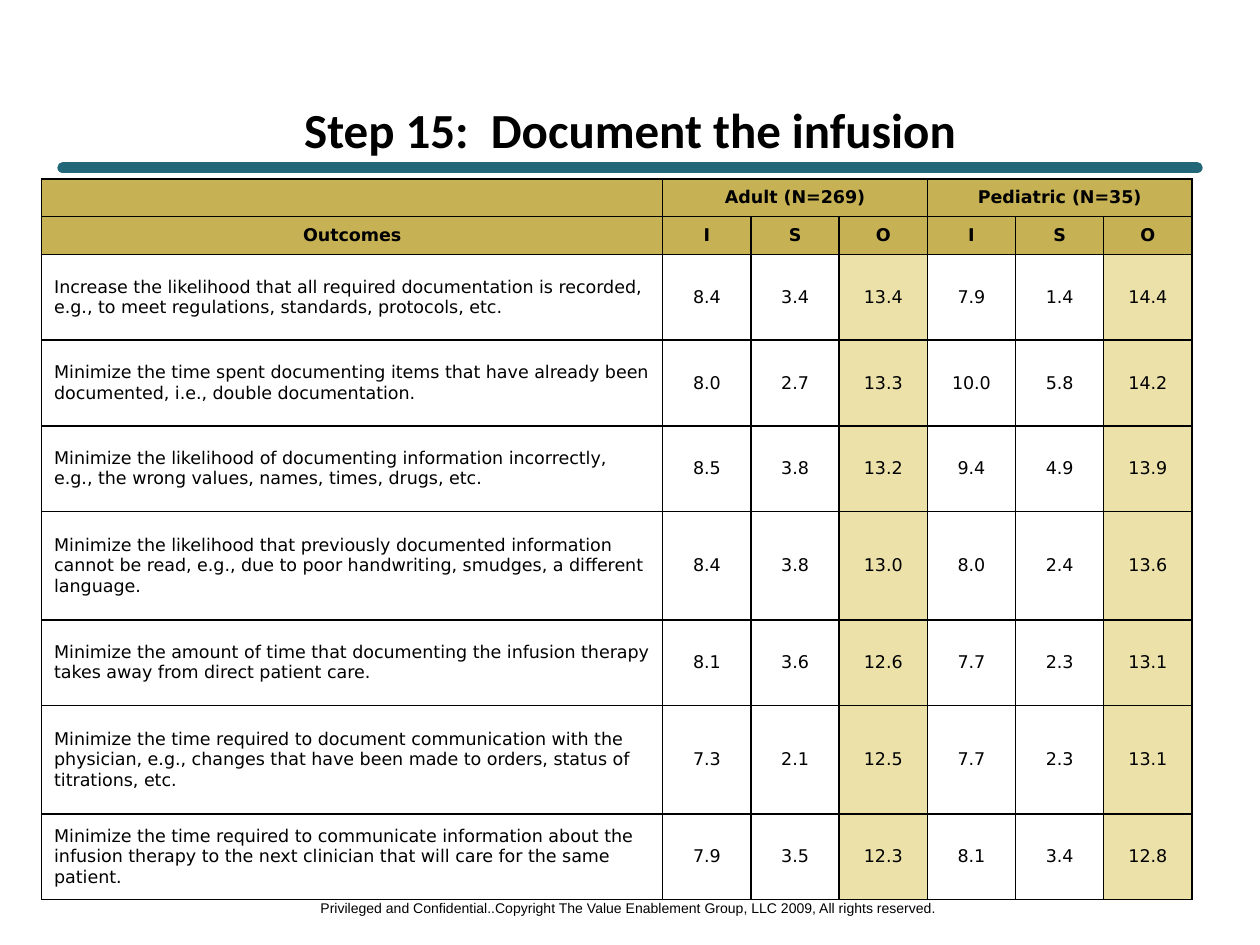
from dataclasses import dataclass

from lxml import etree
from pptx import Presentation
from pptx.dml.color import RGBColor
from pptx.enum.shapes import MSO_CONNECTOR
from pptx.enum.text import MSO_ANCHOR, PP_ALIGN
from pptx.oxml.ns import qn
from pptx.util import Inches, Pt

LEFT, CENTER = PP_ALIGN.LEFT, PP_ALIGN.CENTER
MIDDLE = MSO_ANCHOR.MIDDLE
STRAIGHT = MSO_CONNECTOR.STRAIGHT

# Content
TITLE = "Step 15:  Document the infusion"
FOOTER = ("Privileged and Confidential..Copyright The Value Enablement Group, "
          "LLC 2009, All rights reserved.")
GROUPS = ["Adult (N=269)", "Pediatric (N=35)"]
MEASURES = ["I", "S", "O"]
OUTCOMES = [
    ("Increase the likelihood that all required documentation is recorded, "
     "e.g., to meet regulations, standards, protocols, etc.",
     "8.4", "3.4", "13.4", "7.9", "1.4", "14.4"),
    ("Minimize the time spent documenting items that have already been "
     "documented, i.e., double documentation.",
     "8.0", "2.7", "13.3", "10.0", "5.8", "14.2"),
    ("Minimize the likelihood of documenting information incorrectly, "
     "e.g., the wrong values, names, times, drugs, etc.",
     "8.5", "3.8", "13.2", "9.4", "4.9", "13.9"),
    ("Minimize the likelihood that previously documented information cannot "
     "be read, e.g., due to poor handwriting, smudges, a different language.",
     "8.4", "3.8", "13.0", "8.0", "2.4", "13.6"),
    ("Minimize the amount of time that documenting the infusion therapy "
     "takes away from direct patient care.",
     "8.1", "3.6", "12.6", "7.7", "2.3", "13.1"),
    ("Minimize the time required to document communication with the "
     "physician, e.g., changes that have been made to orders, status of "
     "titrations, etc.",
     "7.3", "2.1", "12.5", "7.7", "2.3", "13.1"),
    ("Minimize the time required to communicate information about the "
     "infusion therapy to the next clinician that will care for the same "
     "patient.",
     "7.9", "3.5", "12.3", "8.1", "3.4", "12.8"),
]
COLUMN_WIDTHS = [4.93] + [0.7] * len(GROUPS) * len(MEASURES)
ROW_HEIGHTS = [0.3, 0.3, 0.68, 0.68, 0.68, 0.86, 0.68, 0.86, 0.68]


@dataclass(frozen=True)
class Theme:
    ink: str = "000000"
    paper: str = "FFFFFF"
    rule: str = "216778"
    header: str = "C6B154"
    score: str = "ECE2A9"
    title_font: str = "Calibri"
    table_font: str = "DejaVu Sans"
    footer_font: str = "Arial"
    title_size: float = 28
    table_size: float = 10
    footer_size: float = 8
    rule_width: float = 6.5
    border_width: float = 1


THEME = Theme()


def write_text(frame, text, *, font, size, bold=False, align=CENTER):
    paragraph = frame.paragraphs[0]
    paragraph.alignment = align
    if not text:  # keeps a blank cell from growing its row
        paragraph._p.get_or_add_endParaRPr().set("sz", str(int(size * 100)))
        return
    run = paragraph.add_run()
    run.text = text
    run.font.name = font
    run.font.size = Pt(size)
    run.font.bold = bold
    run.font.color.rgb = RGBColor.from_string(THEME.ink)


def set_borders(cell):
    properties = cell._tc.get_or_add_tcPr()
    for position, side in enumerate(("a:lnL", "a:lnR", "a:lnT", "a:lnB")):
        border = etree.Element(qn(side), w=str(Pt(THEME.border_width)))
        fill = etree.SubElement(border, qn("a:solidFill"))
        etree.SubElement(fill, qn("a:srgbClr"), val=THEME.ink)
        properties.insert(position, border)


def add_rule(slide):
    rule = slide.shapes.add_connector(
        STRAIGHT, Inches(0.5), Inches(1.33), Inches(9.5), Inches(1.33))
    rule.line.color.rgb = RGBColor.from_string(THEME.rule)
    rule.line.width = Pt(THEME.rule_width)
    rule.line._get_or_add_ln().set("cap", "rnd")
    etree.SubElement(rule._element.spPr, qn("a:effectLst"))


def add_footer(slide):
    footer = slide.shapes.add_textbox(
        Inches(2.41), Inches(7.09), Inches(5.16), Inches(0.24))
    footer.text_frame.word_wrap = False
    write_text(footer.text_frame, FOOTER,
               font=THEME.footer_font, size=THEME.footer_size)


def add_title(slide):
    title = slide.shapes.title
    title.left, title.top = Inches(0.5), Inches(0.83)
    title.width, title.height = Inches(9), Inches(0.38)
    title.text_frame.vertical_anchor = MIDDLE
    write_text(title.text_frame, TITLE, font=THEME.title_font,
               size=THEME.title_size, bold=True)


def add_outcomes_table(slide):
    # Two header rows, then one row for each outcome
    group_row = [""]
    for group in GROUPS:
        group_row += [group] + [""] * (len(MEASURES) - 1)
    header_rows = [group_row, ["Outcomes"] + MEASURES * len(GROUPS)]
    rows = header_rows + OUTCOMES

    table = slide.shapes.add_table(
        len(rows), len(COLUMN_WIDTHS), Inches(0.33), Inches(1.42),
        Inches(sum(COLUMN_WIDTHS)), Inches(sum(ROW_HEIGHTS))).table
    table.first_row = table.horz_banding = False
    for column, width in zip(table.columns, COLUMN_WIDTHS):
        column.width = Inches(width)
    for row, height in zip(table.rows, ROW_HEIGHTS):
        row.height = Inches(height)

    for r, row in enumerate(rows):
        is_header = r < len(header_rows)
        for c, text in enumerate(row):
            is_score = c > 0 and c % len(MEASURES) == 0
            color = (THEME.header if is_header
                     else THEME.score if is_score else THEME.paper)
            cell = table.cell(r, c)
            cell.fill.solid()
            cell.fill.fore_color.rgb = RGBColor.from_string(color)
            cell.vertical_anchor = MIDDLE
            set_borders(cell)
            write_text(cell.text_frame, text, font=THEME.table_font,
                       size=THEME.table_size, bold=is_header,
                       align=CENTER if is_header or c else LEFT)

    # Each group heading spans its measures
    for first in range(1, len(COLUMN_WIDTHS), len(MEASURES)):
        table.cell(0, first).merge(table.cell(0, first + len(MEASURES) - 1))


def main():
    deck = Presentation()
    deck.slide_width, deck.slide_height = Inches(10), Inches(7.5)
    slide = deck.slides.add_slide(deck.slide_layouts.get_by_name("Title Only"))
    add_rule(slide)
    add_footer(slide)
    add_title(slide)
    add_outcomes_table(slide)
    deck.save("out.pptx")


if __name__ == "__main__":
    main()
